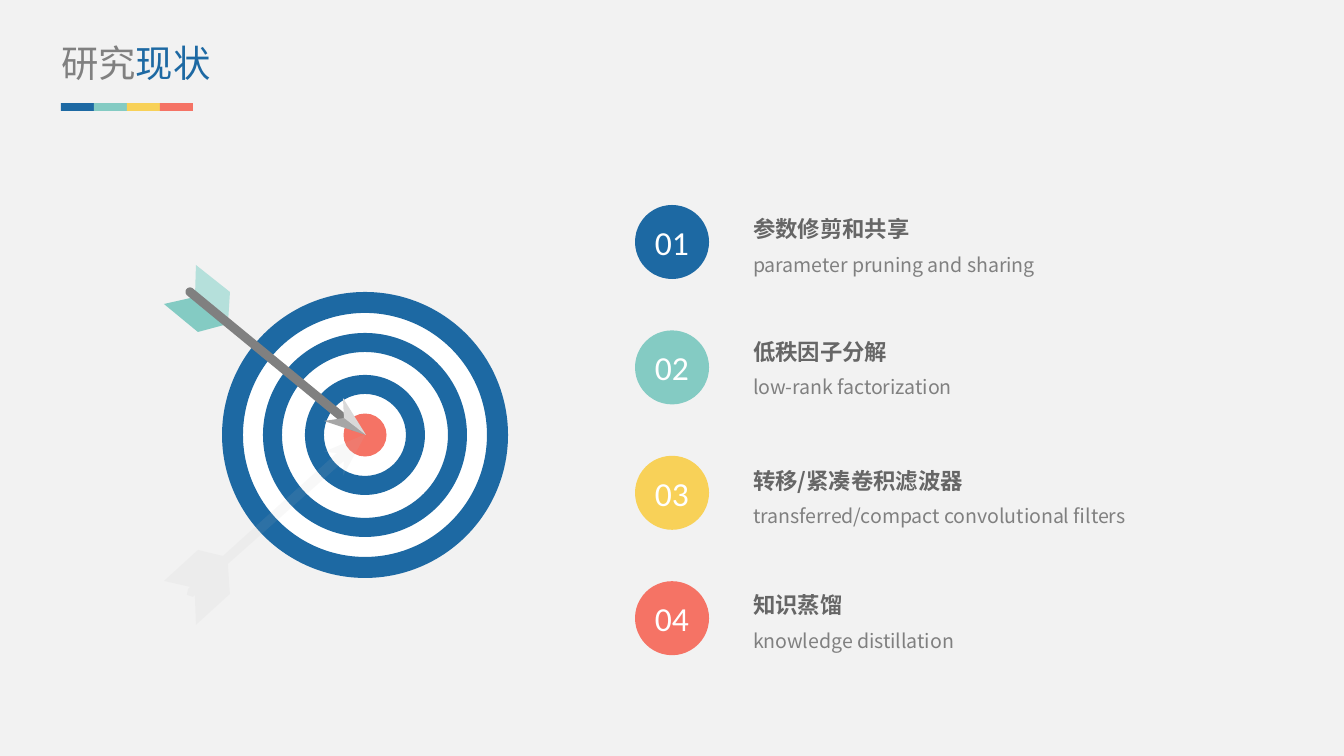
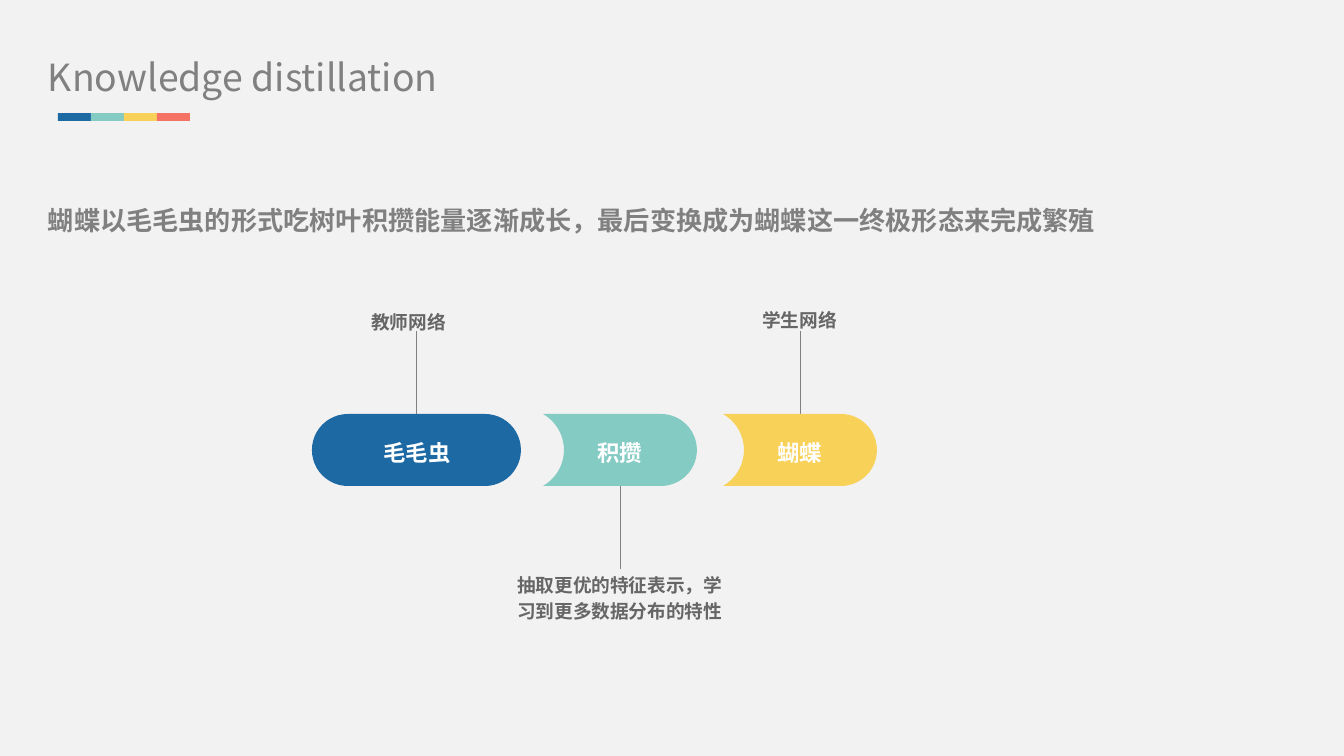
import math
from lxml import etree
from pptx import Presentation
from pptx import util as u
from pptx.dml import color as dml
from pptx.enum import shapes, text
from pptx.oxml import ns

PX = 914400 / 134.4
NOTO, CALIBRI = "Noto Sans CJK SC", "Calibri"
BLUE, TEAL, YELLOW, RED = PALETTE = ("1D69A3", "84CBC3", "F8D158", "F57365")
BACKDROP, WHITE, GREY, DARK = "F2F2F2", "FFFFFF", "808080", "666666"
BAR_WIDTH, BAR_HEIGHT = 33, 8
SPACED = {"line_spacing": 1.2, "before": 3}

STATUS_TITLE = [("研究", GREY), ("现状", BLUE)]
METHODS = [
    ("参数修剪和共享", "parameter pruning and sharing", 210),
    ("低秩因子分解", "low-rank factorization", 333),
    ("转移/紧凑卷积滤波器", "transferred/compact convolutional filters", 462),
    ("知识蒸馏", "knowledge distillation", 586),
]
BADGE_LEFT, BADGE_TOP, BADGE_SIZE, BADGE_STEP = 635, 205, 74, 125.4
METHOD_LEFT, METHOD_WIDTH, METHOD_HEIGHT = 753, 391, 64

BULLSEYE = (365, 435)
RINGS = [(286, 21), (204, 19), (120, 19)]
RED_DOT = 43
SHADOW = [(366, 434), (343, 476), (344, 461), (228, 564), (230, 594), (196, 625),
          (195, 595), (193, 597), (187, 595), (188, 589), (190, 587), (164, 581),
          (198, 550), (223, 556), (337, 453), (324, 452)]
FEATHERS = [
    ([(228, 324), (198, 332), (164, 304), (195, 297)], TEAL),
    ([(228, 324), (230, 292), (196, 265), (195, 297)], "B5E0DB"),
]
BARBS = [
    ([(324, 421), (366, 435), (344, 418)], "A6A6A6"),
    ([(344, 418), (366, 435), (343, 398)], "D9D9D9"),
]
SHAFT_TAIL, SHAFT_HEAD, SHAFT_RADIUS = (190, 292), (353, 426), 4.5

DISTILLATION_TITLE = [("Knowledge distillation", GREY)]
METAPHOR = "蝴蝶以毛毛虫的形式吃树叶积攒能量逐渐成长，最后变换成为蝴蝶这一终极形态来完成繁殖"
STAGES = [
    {"word": "毛毛虫", "left": 312, "width": 209, "axis": 417, "line_end": 331,
     "note": "教师网络", "note_at": (301, 306)},
    {"word": "积攒", "left": 543, "width": 154, "axis": 620, "line_end": 569,
     "note": "抽取更优的特征表示，学习到更多数据分布的特性", "note_at": (512, 569)},
    {"word": "蝴蝶", "left": 723, "width": 154, "axis": 800, "line_end": 331,
     "note": "学生网络", "note_at": (692, 304)},
]
STAGE_MIDDLE, STAGE_HEIGHT, NOTCH_DEPTH = 450, 72, 21
WORD_TOP, WORD_WIDTH, NOTE_WIDTH = 434, 105, 215


def px(length):
    return u.Emu(round(length * PX))


def rgb(value):
    return dml.RGBColor.from_string(value)


def paint(shape, color):
    shape.shadow.inherit = False
    shape.fill.solid()
    shape.fill.fore_color.rgb = rgb(color)
    shape.line.fill.background()
    return shape


def preset(slide, kind, box, color):
    return paint(slide.shapes.add_shape(kind, *map(px, box)), color)


def disc(slide, center, size, color, kind=shapes.MSO_SHAPE.OVAL):
    x, y = center
    return preset(slide, kind, (x - size / 2, y - size / 2, size, size), color)


def outline(slide, points, color):
    corners = [(px(x), px(y)) for x, y in points]
    builder = slide.shapes.build_freeform(*corners[0], scale=1.0)
    builder.add_line_segments(corners[1:], close=True)
    return paint(builder.convert_to_shape(), color)


def arc(center, radius, start, end, steps=32):
    angles = [start + (end - start) * i / steps for i in range(steps + 1)]
    return [(center[0] + radius * math.cos(a), center[1] + radius * math.sin(a))
            for a in angles]


def write(paragraph, words, size=10, color=GREY, font=NOTO, bold=False,
          align=text.PP_ALIGN.LEFT, line_spacing=None, before=0):
    paragraph.alignment = align
    paragraph.line_spacing = line_spacing
    paragraph.space_before = u.Pt(before)
    run = paragraph.add_run()
    run.text = words
    run.font.size, run.font.bold, run.font.name = u.Pt(size), bold, font
    run.font.color.rgb = rgb(color)
    latin = run.font._element.find(ns.qn("a:latin"))
    east_asian = etree.Element(ns.qn("a:ea"), typeface=NOTO)
    latin.addnext(east_asian)


def bare_frame(shape, anchor=text.MSO_ANCHOR.TOP):
    frame = shape.text_frame
    frame.margin_left = frame.margin_right = frame.margin_top = frame.margin_bottom = 0
    frame.word_wrap = True
    frame.auto_size = text.MSO_AUTO_SIZE.NONE
    frame.vertical_anchor = anchor
    return frame


def text_area(slide, box):
    return bare_frame(slide.shapes.add_textbox(*map(px, box)))


def titled_slide(deck, heading, title_at, bar_at):
    slide = deck.slides.add_slide(deck.slide_layouts[5])
    title = slide.shapes.title
    title.left, title.top, title.width, title.height = map(px, (*title_at, 410, 46))
    paragraph = bare_frame(title).paragraphs[0]
    for words, color in heading:
        write(paragraph, words, size=20, color=color)
    for i, color in enumerate(PALETTE):
        preset(slide, shapes.MSO_SHAPE.RECTANGLE,
               (bar_at[0] + i * BAR_WIDTH, bar_at[1], BAR_WIDTH, BAR_HEIGHT), color)
    return slide


def draw_target(slide):
    disc(slide, BULLSEYE, RINGS[0][0] - 2, WHITE)
    disc(slide, BULLSEYE, RED_DOT, RED)
    for size, thickness in RINGS:
        ring = disc(slide, BULLSEYE, size, BLUE, shapes.MSO_SHAPE.DONUT)
        ring.adjustments[0] = thickness / size


def draw_arrow(slide):
    for points, color in FEATHERS:
        outline(slide, points, color)
    tilt = math.atan2(SHAFT_HEAD[1] - SHAFT_TAIL[1], SHAFT_HEAD[0] - SHAFT_TAIL[0])
    quarter = math.pi / 2
    shaft = (arc(SHAFT_TAIL, SHAFT_RADIUS, tilt + quarter, tilt + 3 * quarter)
             + arc(SHAFT_HEAD, SHAFT_RADIUS, tilt - quarter, tilt + quarter))
    outline(slide, shaft, GREY)
    for points, color in BARBS:
        outline(slide, points, color)
    shadow = outline(slide, SHADOW, "BFBFBF")
    tint = shadow.element.spPr.find(".//" + ns.qn("a:srgbClr"))
    etree.SubElement(tint, ns.qn("a:alpha"), val="10000")


def status_slide(deck):
    slide = titled_slide(deck, STATUS_TITLE, (61, 40), (61, 103))
    draw_target(slide)
    draw_arrow(slide)
    for i, (name, english, top) in enumerate(METHODS):
        badge = preset(slide, shapes.MSO_SHAPE.OVAL,
                       (BADGE_LEFT, BADGE_TOP + i * BADGE_STEP, BADGE_SIZE, BADGE_SIZE),
                       PALETTE[i])
        number = bare_frame(badge, text.MSO_ANCHOR.MIDDLE).paragraphs[0]
        write(number, f"{i + 1:02d}", size=18, color=WHITE, font=CALIBRI,
              align=text.PP_ALIGN.CENTER)
        method = text_area(slide, (METHOD_LEFT, top, METHOD_WIDTH, METHOD_HEIGHT))
        write(method.paragraphs[0], name, size=12, color=DARK, bold=True, **SPACED)
        write(method.add_paragraph(), english, size=10.5, **SPACED)


def notched_pill(left, width):
    half = STAGE_HEIGHT / 2
    radius = (half ** 2 + NOTCH_DEPTH ** 2) / (2 * NOTCH_DEPTH)
    sweep = math.asin(half / radius)
    notch_center = (left + NOTCH_DEPTH - radius, STAGE_MIDDLE)
    cap_center = (left + width - half, STAGE_MIDDLE)
    return (arc(cap_center, half, -math.pi / 2, math.pi / 2)
            + arc(notch_center, radius, sweep, -sweep))


def leader(slide, axis, end):
    line = slide.shapes.add_connector(
        shapes.MSO_CONNECTOR.STRAIGHT, px(axis), px(STAGE_MIDDLE), px(axis), px(end))
    line.line.color.rgb = rgb(GREY)
    line.line.width = u.Pt(0.5)
    etree.SubElement(line.element.spPr, ns.qn("a:effectLst"))


def distillation_slide(deck):
    slide = titled_slide(deck, DISTILLATION_TITLE, (48, 54), (58, 113))
    metaphor = text_area(slide, (48, 198, 1248, 35))
    write(metaphor.paragraphs[0], METAPHOR, size=14, font=CALIBRI, bold=True, **SPACED)
    centred = {"font": CALIBRI, "bold": True, "align": text.PP_ALIGN.CENTER, **SPACED}
    for i, (stage, color) in enumerate(zip(STAGES, PALETTE)):
        axis, left, width = stage["axis"], stage["left"], stage["width"]
        leader(slide, axis, stage["line_end"])
        if i == 0:
            pill = preset(slide, shapes.MSO_SHAPE.ROUNDED_RECTANGLE,
                          (left, STAGE_MIDDLE - STAGE_HEIGHT / 2, width, STAGE_HEIGHT), color)
            pill.adjustments[0] = 0.5
        else:
            outline(slide, notched_pill(left, width), color)
        word = text_area(slide, (axis - WORD_WIDTH / 2, WORD_TOP, WORD_WIDTH, 30))
        write(word.paragraphs[0], stage["word"], size=12, color=WHITE, **centred)
        note_height = 52 if stage["line_end"] > STAGE_MIDDLE else 26
        note = text_area(slide, (*stage["note_at"], NOTE_WIDTH, note_height))
        write(note.paragraphs[0], stage["note"], size=10, color=DARK, **centred)


def main():
    deck = Presentation()
    deck.slide_width, deck.slide_height = px(1344), px(756)
    backdrop = deck.slide_master.background.fill
    backdrop.solid()
    backdrop.fore_color.rgb = rgb(BACKDROP)
    status_slide(deck)
    distillation_slide(deck)
    deck.save("out.pptx")


if __name__ == "__main__":
    main()
